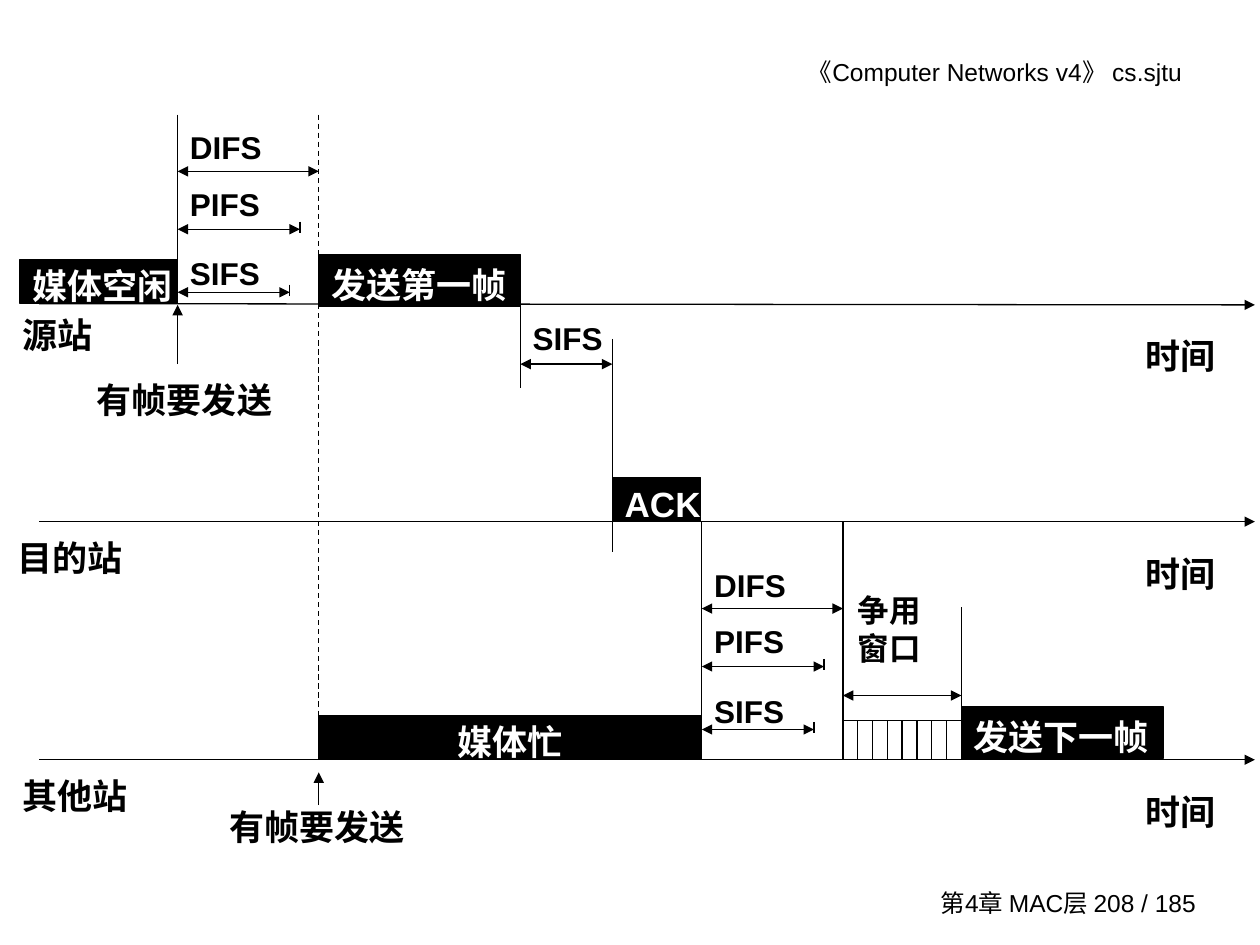
import pptx
import pptx.util
from lxml import etree
from pptx.dml.color import RGBColor
from pptx.enum.dml import MSO_LINE
from pptx.enum.shapes import MSO_CONNECTOR, MSO_SHAPE
from pptx.enum.text import MSO_ANCHOR, PP_ALIGN
from pptx.oxml.ns import qn

Inches, Pt = pptx.util.Inches, pptx.util.Pt
BLACK, WHITE = "000000", "FFFFFF"

# Key moments on the time axis, in inches
START, IDLE, SENT, ACK, DONE, FREE, NEXT, END = (
    0.31, 1.41, 4.13, 4.86, 5.57, 6.69, 7.63, 9.96)
FIRST = 2.53

# station, left, axis start, axis end, label top, label width
STATIONS = [
    ("源站", 0.08, 2.41, 2.42, 2.37, 0.86),
    ("目的站", 0.04, 4.14, 4.14, 4.14, 1.09),
    ("其他站", 0.08, 6.03, 6.03, 6.03, 1.09),
]
# text, left, top, width, height, alignment
BARS = [
    ("媒体空闲", 0.16, 2.06, 1.25, 0.35, PP_ALIGN.LEFT),
    ("发送第一帧", FIRST, 2.02, 1.6, 0.41, PP_ALIGN.LEFT),
    ("ACK", ACK, 3.79, 0.7, 0.35, PP_ALIGN.LEFT),
    ("媒体忙", FIRST, 5.68, 3.04, 0.35, PP_ALIGN.CENTER),
    ("发送下一帧", NEXT, 5.61, 1.6, 0.41, PP_ALIGN.LEFT),
]
# Gaps between frames: name, label offset, arrow offset, length, has end tick
GAPS = [
    ("DIFS", 0, 0.45, 1.12, False),
    ("PIFS", 0.45, 0.91, 0.97, True),
    ("SIFS", 1, 1.41, 0.89, True),
]
GAP_STARTS = [(IDLE, 0.91), (DONE, 4.38)]
# Upright guides: x, top, bottom
GUIDES = [
    (IDLE, 0.91, 2.06), (SENT, 2.37, 3.08), (ACK, 2.69, 4.38),
    (DONE, 4.14, 5.68), (FREE, 4.14, 6.03), (NEXT, 4.82, 5.72),
]
# Arrival of a frame: x, arrow tail, arrow tip, label left, label top
ARRIVALS = [(IDLE, 2.89, 2.42, 0.67, 2.89), (FIRST, 6.39, 6.13, 1.72, 6.28)]
SLOTS = 8

deck = pptx.Presentation()
deck.slide_width, deck.slide_height = Inches(10), Inches(7.5)
slide = deck.slides.add_slide(deck.slide_layouts[6])
shapes = slide.shapes


def color(code):
    return RGBColor.from_string(code)


def fill_text(frame, lines, size, code=BLACK, bold=True,
              align=PP_ALIGN.LEFT, space=1.2):
    for i, line in enumerate(lines):
        para = frame.paragraphs[0] if i == 0 else frame.add_paragraph()
        para.alignment, para.line_spacing = align, space
        run = para.add_run()
        run.text = line
        font = run.font
        font.name, font.size, font.bold = "Arial", Pt(size), bold
        font.color.rgb = color(code)


def add_text(lines, x, y, w, h, size, inset=(0.1, 0.1), **style):
    frame = shapes.add_textbox(*map(Inches, (x, y, w, h))).text_frame
    frame.word_wrap = True
    frame.margin_left, frame.margin_right = map(Inches, inset)
    fill_text(frame, lines, size, **style)
    return frame


def add_line(x1, y1, x2, y2, head=False, tail=False):
    """Draw a thin line; head and tail put arrowheads at its start and end."""
    line = shapes.add_connector(
        MSO_CONNECTOR.STRAIGHT, *map(Inches, (x1, y1, x2, y2)))
    line.line.color.rgb, line.line.width = color(BLACK), Pt(0.75)
    stroke = line.line._get_or_add_ln()
    for tag, wanted in (("a:headEnd", head), ("a:tailEnd", tail)):
        if wanted:
            etree.SubElement(stroke, qn(tag), type="triangle")
    etree.SubElement(line._element.spPr, qn("a:effectLst"))
    return line


def add_box(x, y, w, h, code=None):
    box = shapes.add_shape(MSO_SHAPE.RECTANGLE, *map(Inches, (x, y, w, h)))
    box.shadow.inherit = False
    if code:
        box.fill.solid()
        box.fill.fore_color.rgb = color(code)
    else:
        box.fill.background()
    box.line.color.rgb, box.line.width = color(BLACK), Pt(0.75)
    return box


add_text(["《Computer Networks v4》 cs.sjtu"], 5.36, 0.4, 4.23, 0.34, 14,
         inset=(0.1, 0.21), bold=False, align=PP_ALIGN.RIGHT, space=1)
footer = add_text(["第4章 MAC层 208 / 185"], 7.3, 7, 2.29, 0.33, 14,
                  bold=False, align=PP_ALIGN.RIGHT, space=1)
footer.vertical_anchor = MSO_ANCHOR.MIDDLE

for name, left, y1, y2, top, width in STATIONS:
    add_line(START, y1, END, y2, tail=True)
    add_text(["时间"], 8.99, y1 + 0.13, 0.86, 0.5, 20)
    add_text([name], left, top, width, 0.5, 20)

for x, top, bottom in GUIDES:
    add_line(x, top, x, bottom)
add_line(FIRST, 0.91, FIRST, 6.03).line.dash_style = MSO_LINE.DASH

for text, x, y, w, h, align in BARS:
    frame = add_box(x, y, w, h, BLACK).text_frame
    frame.word_wrap = False
    frame.vertical_anchor = MSO_ANCHOR.MIDDLE
    fill_text(frame, [text], 20, WHITE, align=align)

for x, top in GAP_STARTS:
    for name, label, arrow, length, tick in GAPS:
        add_text([name], x, top + label, 0.9, 0.46, 18)
        y, end = top + arrow, x + length
        add_line(x, y, end, y, head=True, tail=True)
        if tick:
            add_line(end, y - 0.06, end, y + 0.03)

add_text(["SIFS"], SENT, 2.42, 0.9, 0.46, 18)
add_line(SENT, 2.89, ACK, 2.89, head=True, tail=True)

for x, tail, tip, left, top in ARRIVALS:
    add_line(x, tail, x, tip, tail=True)
    add_text(["有帧要发送"], left, top, 1.71, 0.5, 20)

step = (NEXT - FREE) / SLOTS
for i in range(SLOTS):
    add_box(FREE + i * step, 5.72, step, 0.31)
add_line(FREE, 5.52, NEXT, 5.52, head=True, tail=True)
add_text(["争用", "窗口"], 6.81, 4.64, 0.7, 0.7, 18, inset=(0, 0), space=1)

deck.save("out.pptx")
